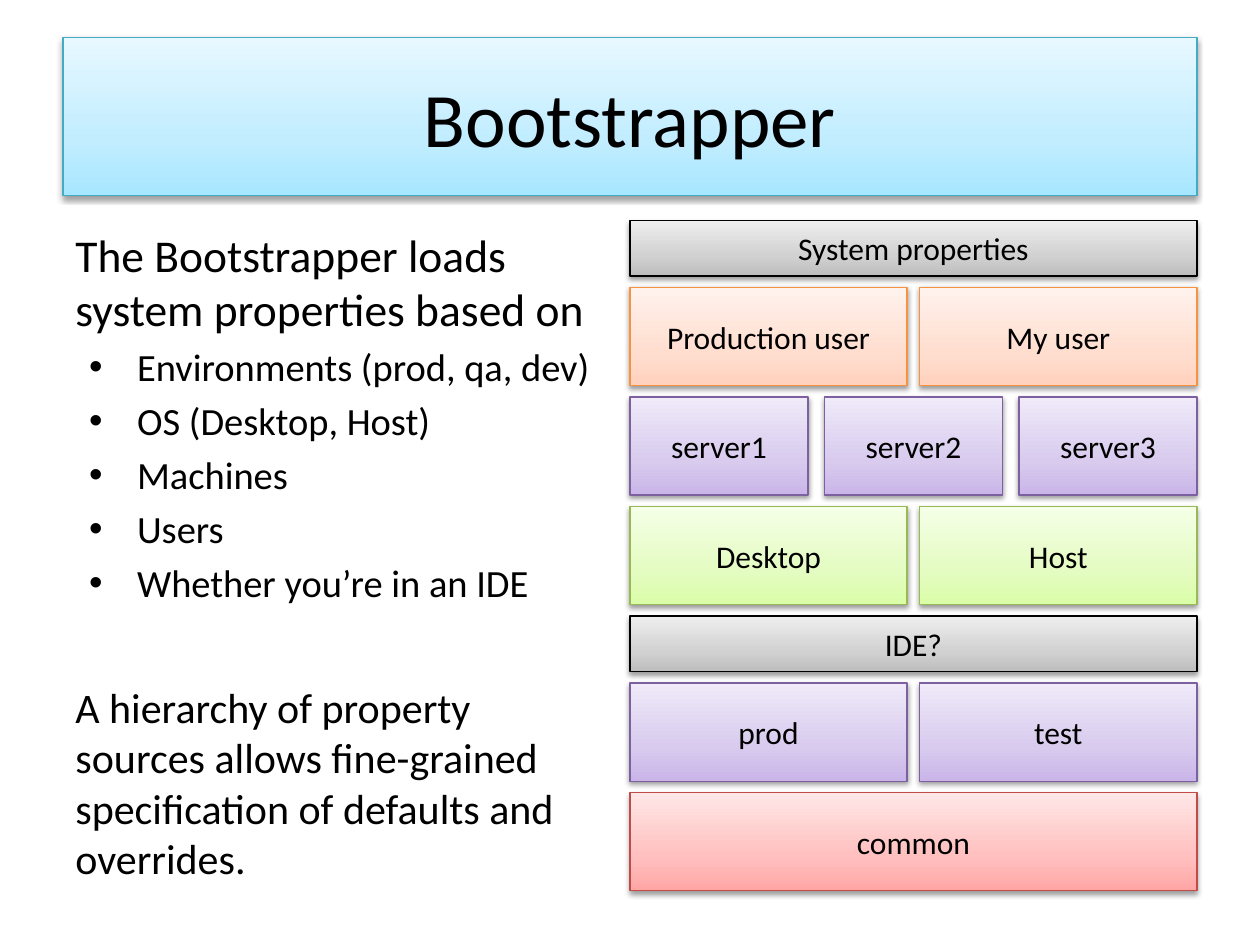
from copy import deepcopy
from dataclasses import dataclass
from lxml.etree import SubElement as Sub
from pptx import Presentation
from pptx.dml.color import RGBColor as Rgb
from pptx.enum.shapes import MSO_SHAPE as Form
from pptx.enum.text import MSO_ANCHOR as Anchor, PP_ALIGN as Align
from pptx.oxml.ns import qn
from pptx.util import Inches, Pt


@dataclass(frozen=True)
class Theme:
    """Colours as (dark, mid, light, line), and type sizes."""
    font: str = "Calibri"
    ink: str = "000000"
    blue: tuple = ("A7E6FF", "C1EDFF", "E7F8FF", "46AAC5")
    gray: tuple = ("BDBDBD", "D1D1D1", "EEEEEE", "000000")
    peach: tuple = ("FFD2BD", "FFDED0", "FFF2ED", "F69240")
    violet: tuple = ("C9B5E8", "D8CBEE", "F0EAF9", "7D60A0")
    green: tuple = ("DAFDA7", "E4FCC2", "F5FFE7", "98B955")
    red: tuple = ("FFA6A5", "FFC0BF", "FFE7E7", "BF4C48")
    title: int = 44
    lead: int = 26
    item: int = 22
    note: int = 24
    label: int = 18


THEME = Theme()


def style(para, size):
    """Set the font of every run in a paragraph."""
    for run in para.runs:
        run.font.name = THEME.font
        run.font.size = Pt(size)
        run.font.color.rgb = Rgb.from_string(THEME.ink)


def shade(shape, tones):
    """Fill from dark at the bottom to light at the top."""
    fill = shape.fill
    fill.gradient()
    fill.gradient_angle = 90
    stops = shape._element.spPr.find(qn("a:gradFill")).find(qn("a:gsLst"))
    stops.insert(1, deepcopy(stops[0]))
    for stop, tone, spot in zip(fill.gradient_stops, tones, (0, 0.35, 1)):
        stop.color.rgb = Rgb.from_string(tone)
        stop.position = spot


def drop(shape):
    """Give a shape a soft shadow straight below it."""
    shape.shadow.inherit = False
    effect = shape._element.spPr.find(qn("a:effectLst"))
    cast = Sub(effect, qn("a:outerShdw"), blurRad=str(Pt(3.1)),
               dist=str(Pt(1.6)), dir="5400000", rotWithShape="0")
    tint = Sub(cast, qn("a:srgbClr"), val=THEME.ink)
    Sub(tint, qn("a:alpha"), val="38000")


def panel(slide, box, text, tones, size):
    """Draw one shaded box with centred text."""
    shape = slide.shapes.add_shape(Form.RECTANGLE, *map(Inches, box))
    shade(shape, tones)
    shape.line.color.rgb = Rgb.from_string(tones[3])
    shape.line.width = Pt(0.75)
    drop(shape)
    frame = shape.text_frame
    frame.text = text
    frame.word_wrap = True
    frame.vertical_anchor = Anchor.MIDDLE
    para = frame.paragraphs[0]
    para.alignment = Align.CENTER
    style(para, size)


def prose(slide, box, text):
    """Add a wrapped text box and return its frame."""
    frame = slide.shapes.add_textbox(*map(Inches, box)).text_frame
    frame.word_wrap = True
    frame.text = text
    return frame


def points(slide, box, lead, items):
    """Write a lead sentence with bullets under it."""
    frame = prose(slide, box, lead)
    first = frame.paragraphs[0]
    first.space_before = Pt(THEME.lead * 0.2)
    style(first, THEME.lead)
    for item in items:
        para = frame.add_paragraph()
        para.text = item
        para.space_before = Pt(THEME.item * 0.2)
        style(para, THEME.item)
        props = para._p.get_or_add_pPr()
        props.set("marL", str(Inches(0.49)))
        props.set("indent", str(Inches(-0.38)))
        Sub(props, qn("a:buFont"), typeface="Arial")
        Sub(props, qn("a:buChar"), char="•")


def note(slide, box, text):
    """Write the closing remark."""
    style(prose(slide, box, text).paragraphs[0], THEME.note)


def stack(slide, box, rows, gap=0.09):
    """Pile up rows of equal boxes across the width of the box."""
    left, top, width, _ = box
    for names, tones, high, space in rows:
        wide = (width - space * (len(names) - 1)) / len(names)
        for col, name in enumerate(names):
            spot = (left + col * (wide + space), top, wide, high)
            panel(slide, spot, name, tones, THEME.label)
        top += high + gap


def main():
    """Build the slide and save it."""
    deck = Presentation()
    deck.slide_width, deck.slide_height = Inches(10), Inches(7.5)
    slide = deck.slides.add_slide(deck.slide_layouts[6])
    panel(slide, (0.5, 0.3, 9, 1.25), "Bootstrapper", THEME.blue, THEME.title)
    points(slide, (0.5, 1.75, 4.37, 3.34),
           "The Bootstrapper loads system properties based on",
           ("Environments (prod, qa, dev)", "OS (Desktop, Host)", "Machines",
            "Users", "Whether you’re in an IDE"))
    note(slide, (0.5, 5.36, 4.41, 1.72),
         "A hierarchy of property sources allows fine-grained "
         "specification of defaults and overrides.")
    slim, tall = 0.44, 0.78
    stack(slide, (5, 1.75, 4.5, 5.32), (
        (("System properties",), THEME.gray, slim, 0),
        (("Production user", "My user"), THEME.peach, tall, 0.1),
        (("server1", "server2", "server3"), THEME.violet, tall, 0.13),
        (("Desktop", "Host"), THEME.green, tall, 0.1),
        (("IDE?",), THEME.gray, slim, 0),
        (("prod", "test"), THEME.violet, tall, 0.1),
        (("common",), THEME.red, tall, 0),
    ))
    deck.save("out.pptx")


main()
